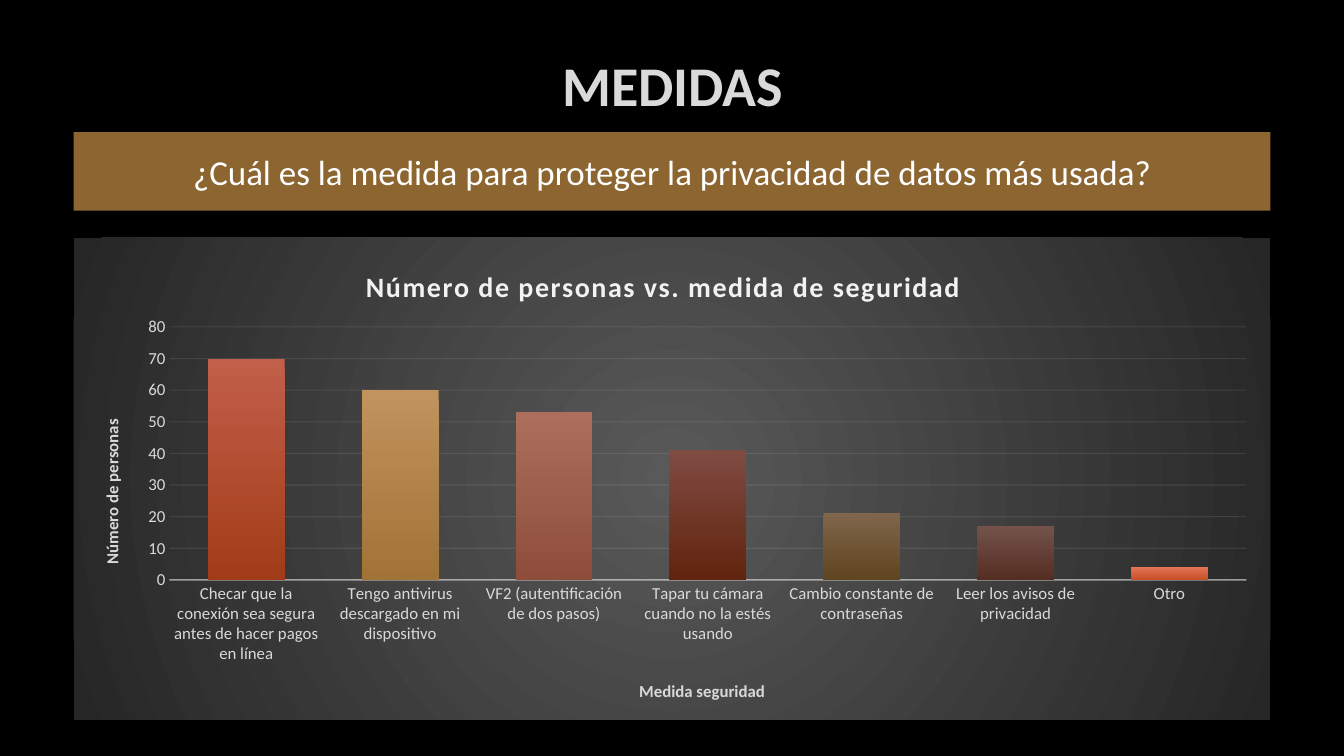
from lxml import etree
from pptx import Presentation
from pptx.chart.data import CategoryChartData
from pptx.dml.color import RGBColor
from pptx.enum import chart as charts, shapes, text
from pptx.oxml import parse_xml
from pptx.oxml.ns import nsdecls, qn
from pptx.util import Inches, Pt

FONT = "Calibri"
COLORS = {
    "background": "000000",
    "title": "DADADA",
    "banner": "8C6530",
    "white": "FFFFFF",
    "light": "F2F2F2",
    "axis": "D9D9D9",
    "chart_center": "595959",
    "chart_edge": "262626",
}
MEASURES = [
    ("Checar que la conexión sea segura antes de hacer pagos en línea", 70, "C25F4A", "A23B17"),
    ("Tengo antivirus descargado en mi dispositivo", 60, "C1935D", "A17337"),
    ("VF2 (autentificación de dos pasos)", 53, "AD6E5E", "8E4D3A"),
    ("Tapar tu cámara cuando no la estés usando", 41, "804B43", "61240E"),
    ("Cambio constante de contraseñas", 21, "7F654A", "604521"),
    ("Leer los avisos de privacidad", 17, "74524A", "552E23"),
    ("Otro", 4, "E47556", "C64F26"),
]


def rgb(name):
    return RGBColor.from_string(COLORS[name])


def style_font(font, size, color, bold=False):
    font.name = FONT
    font.size = Pt(size)
    font.bold = bold
    font.color.rgb = rgb(color)


def set_text(text_frame, words, size, color, bold=False):
    text_frame.text = words
    paragraph = text_frame.paragraphs[0]
    paragraph.alignment = text.PP_ALIGN.CENTER
    style_font(paragraph.runs[0].font, size, color, bold)


def place(shape, left, top, width, height):
    shape.left, shape.top = Inches(left), Inches(top)
    shape.width, shape.height = Inches(width), Inches(height)


def add_title(slide):
    title = slide.shapes.title
    place(title, 1.01, 0.3, 11.32, 1.06)
    title.text_frame.vertical_anchor = text.MSO_ANCHOR.MIDDLE
    set_text(title.text_frame, "MEDIDAS", 40, "title", True)


def add_banner(slide, words):
    banner = slide.shapes.add_shape(
        shapes.MSO_SHAPE.RECTANGLE, Inches(0.73), Inches(1.31), Inches(11.87), Inches(0.78))
    banner.shadow.inherit = False
    banner.fill.solid()
    banner.fill.fore_color.rgb = rgb("banner")
    banner.line.fill.background()
    banner.text_frame.vertical_anchor = text.MSO_ANCHOR.MIDDLE
    banner.text_frame.word_wrap = True
    set_text(banner.text_frame, words, 25, "white")


def set_layout(element, index, **fractions):
    for old in element.findall(qn("c:layout")):
        element.remove(old)
    layout = etree.Element(qn("c:layout"))
    manual = etree.SubElement(layout, qn("c:manualLayout"))
    if "w" in fractions:
        etree.SubElement(manual, qn("c:layoutTarget"), val="inner")
    for mode in ("xMode", "yMode"):
        etree.SubElement(manual, qn("c:" + mode), val="edge")
    for key, value in fractions.items():
        etree.SubElement(manual, qn("c:" + key), val=str(value))
    element.insert(index, layout)


def set_alpha(chart, path_to_color, percent):
    for color in chart.element.xpath(path_to_color):
        etree.SubElement(color, qn("a:alpha"), val=str(percent * 1000))


def add_chart_title(title, words, size, color, x, y):
    set_text(title.text_frame, words, size, color, True)
    set_layout(title.element, 1, x=x, y=y)


def style_axis(axis):
    axis.major_tick_mark = charts.XL_TICK_MARK.NONE
    axis.minor_tick_mark = charts.XL_TICK_MARK.NONE
    style_font(axis.tick_labels.font, 12, "axis")


def fill_chart_area(chart):
    area = parse_xml(
        f'<c:spPr {nsdecls("c", "a")}><a:gradFill><a:gsLst>'
        f'<a:gs pos="0"><a:srgbClr val="{COLORS["chart_center"]}"/></a:gs>'
        f'<a:gs pos="100000"><a:srgbClr val="{COLORS["chart_edge"]}"/></a:gs>'
        '</a:gsLst><a:path path="circle">'
        '<a:fillToRect l="50000" t="50000" r="50000" b="50000"/></a:path>'
        '</a:gradFill><a:ln><a:noFill/></a:ln></c:spPr>')
    chart.element.find(qn("c:chart")).addnext(area)


def fill_columns(plot):
    for index, (_, _, top, bottom) in enumerate(MEASURES):
        fill = plot.series[0].points[index].format.fill
        fill.gradient()
        fill.gradient_angle = 270
        for stop, color in zip(fill.gradient_stops, (top, bottom)):
            stop.color.rgb = RGBColor.from_string(color)


def style_axes(chart):
    categories, values = chart.category_axis, chart.value_axis
    style_axis(categories)
    style_axis(values)
    categories.format.line.color.rgb = rgb("light")
    categories.format.line.width = Pt(1)
    set_alpha(chart, ".//c:catAx/c:spPr/a:ln//a:srgbClr", 54)

    values.minimum_scale, values.maximum_scale, values.major_unit = 0, 80, 10
    values.format.line.fill.background()
    values.has_major_gridlines = True
    grid = values.major_gridlines.format.line
    grid.color.rgb = rgb("light")
    grid.width = Pt(0.75)
    set_alpha(chart, ".//c:majorGridlines//a:srgbClr", 10)

    add_chart_title(categories.axis_title, "Medida seguridad", 12, "axis", 0.47, 0.91)
    add_chart_title(values.axis_title, "Número de personas", 12, "axis", 0.02, 0.37)
    body = values.axis_title.element.find(".//" + qn("a:bodyPr"))
    body.set("rot", "-5400000")
    body.set("vert", "horz")


def add_measures_chart(slide):
    data = CategoryChartData()
    data.categories = [measure[0] for measure in MEASURES]
    data.add_series("Series 1", [measure[1] for measure in MEASURES])
    chart = slide.shapes.add_chart(
        charts.XL_CHART_TYPE.COLUMN_CLUSTERED,
        Inches(0.73), Inches(2.36), Inches(11.87), Inches(4.78), data).chart
    style_font(chart.font, 10, "white")
    chart.has_legend = False
    fill_chart_area(chart)

    plot = chart.plots[0]
    plot.gap_width, plot.overlap = 100, -24
    plot.vary_by_categories = False
    fill_columns(plot)
    style_axes(chart)

    add_chart_title(chart.chart_title, "Número de personas vs. medida de seguridad",
                    20, "light", 0.24, 0.05)
    chart.chart_title.text_frame.paragraphs[0].runs[0].font._element.set("spc", "100")
    set_layout(chart.element.find(".//" + qn("c:plotArea")), 0,
               x=0.08, y=0.185, w=0.9, h=0.525)


def main():
    presentation = Presentation()
    presentation.slide_width, presentation.slide_height = Inches(13.33), Inches(7.5)
    slide = presentation.slides.add_slide(presentation.slide_layouts[5])
    slide.background.fill.solid()
    slide.background.fill.fore_color.rgb = rgb("background")
    add_title(slide)
    add_banner(slide, "¿Cuál es la medida para proteger la privacidad de datos más usada?")
    add_measures_chart(slide)
    presentation.save("out.pptx")


if __name__ == "__main__":
    main()
